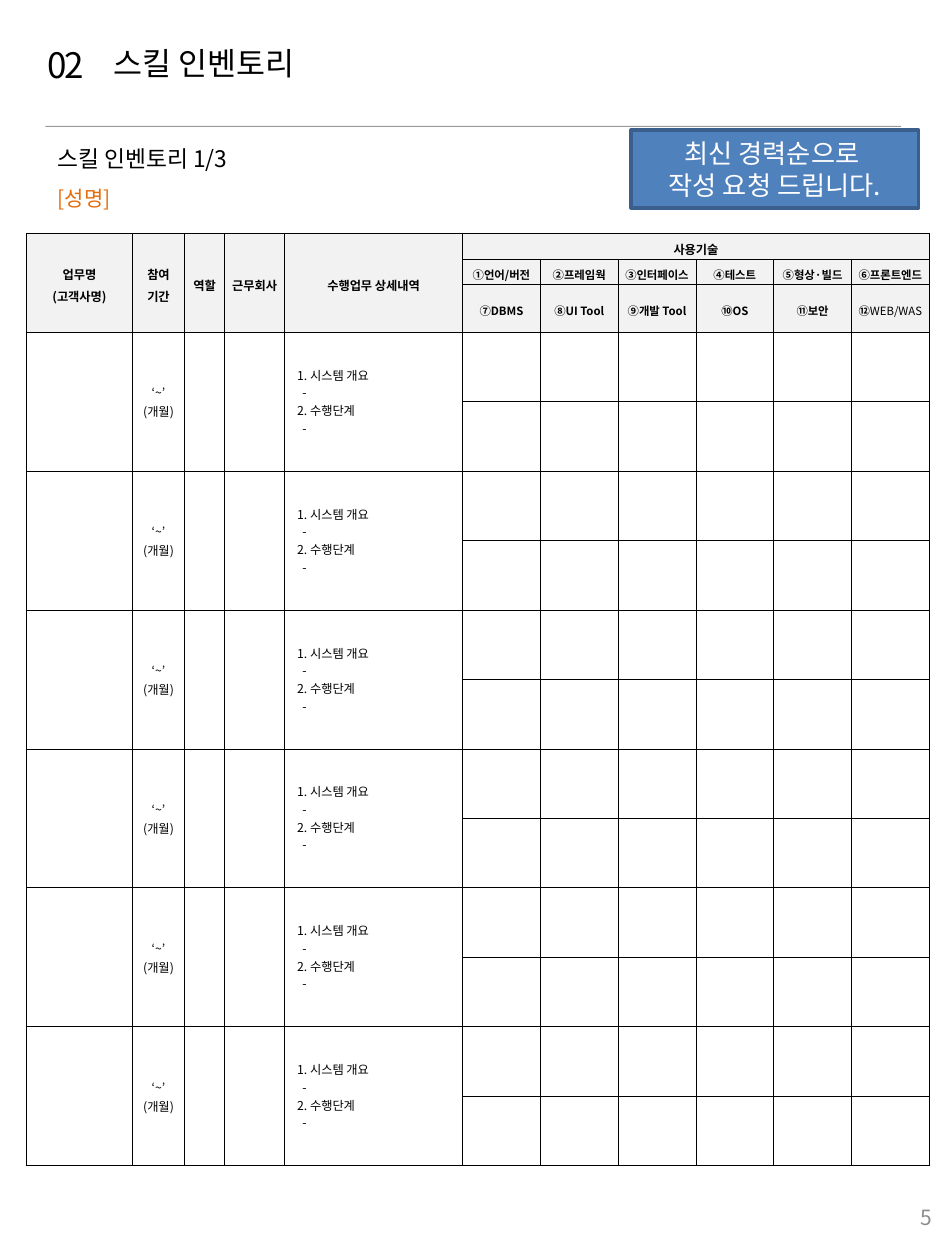
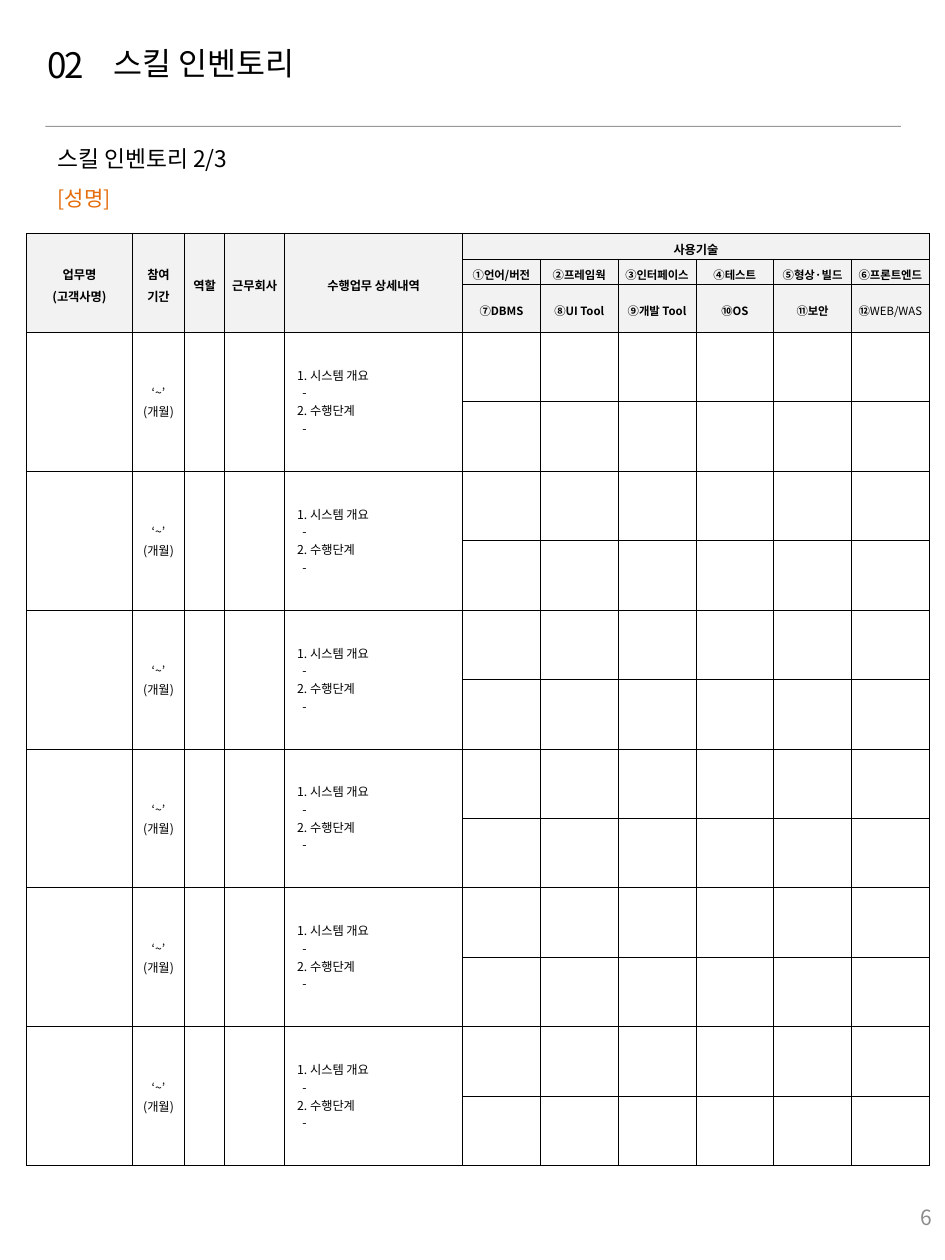
import pptx
import pptx.dml.color
import pptx.enum.shapes
import pptx.enum.text
import pptx.oxml.ns
import pptx.util
from lxml import etree

Pt = pptx.util.Pt
color = pptx.dml.color.RGBColor.from_string
qn = pptx.oxml.ns.qn
ALIGN = pptx.enum.text.PP_ALIGN
MIDDLE = pptx.enum.text.MSO_ANCHOR.MIDDLE
RECTANGLE = pptx.enum.shapes.MSO_SHAPE.RECTANGLE

FONT = "Noto Sans CJK KR"
BLACK, WHITE, ORANGE = "000000", "FFFFFF", "E46C0A"
RULE_GREY, NUMBER_GREY, HEADER_GREY = "808080", "8C8C8C", "F2F2F2"
CALLOUT_BLUE, CALLOUT_EDGE = "4F81BD", "3A5F8C"


def add_run(paragraph, text, size, hue=BLACK, bold=False):
    run = paragraph.add_run()
    run.text = text
    run.font.size = Pt(size)
    run.font.bold = bold
    run.font.name = FONT
    run.font.color.rgb = color(hue)
    etree.SubElement(run.font._element, qn("a:ea"), typeface=FONT)
    return run


def write_lines(frame, lines, size, hue=BLACK, bold=False, align=ALIGN.LEFT, spacing=None):
    """Write one paragraph per line; a newline inside a line is a soft break."""
    frame.word_wrap = True
    for number, line in enumerate(lines):
        paragraph = frame.add_paragraph() if number else frame.paragraphs[0]
        paragraph.alignment = align
        paragraph.line_spacing = spacing
        for part_number, part in enumerate(line.split("\n")):
            if part_number:
                paragraph.add_line_break()
            add_run(paragraph, part, size, hue, bold)


# Table content and grid
main_headers = [["업무명", "(고객사명)"], ["참여\n기간"], ["역할"], ["근무회사"], ["수행업무 상세내역"]]
skill_headers = [
    ["①언어/버전", "②프레임웍", "③인터페이스", "④테스트", "⑤형상·빌드", "⑥프론트엔드"],
    ["⑦DBMS", "⑧UI Tool", "⑨개발 Tool", "⑩OS", "⑪보안", "⑫"],
]
period_lines = ["‘~’", "(개월)"]
detail_lines = ["1. 시스템 개요", "-", "2. 수행단계", "-"]
PROJECTS = 6
HEADER_ROWS = 3
PERIOD, DETAIL, FIRST_SKILL = 1, 4, 5
column_widths = [60.6, 29.8, 22.9, 34.3, 101.7] + [44.45] * 6
row_heights = [14.9, 14.3, 27.4] + [39.7] * (2 * PROJECTS)

deck = pptx.Presentation()
deck.slide_width, deck.slide_height = Pt(540), Pt(720)

for page, part_label in [(5, "1/3"), (6, "2/3")]:
    slide = deck.slides.add_slide(deck.slide_layouts[6])

    # Rule below the title
    rule = slide.shapes.add_shape(RECTANGLE, Pt(25.9), Pt(72), Pt(488.9), Pt(0.5))
    rule.shadow.inherit = False
    rule.line.fill.background()
    rule.fill.solid()
    rule.fill.fore_color.rgb = color(RULE_GREY)
    rule_color = rule._element.spPr.find(qn("a:solidFill"))[0]
    etree.SubElement(rule_color, qn("a:alpha"), val="80000")

    # Chapter number, title, subtitle, name and page number
    for left, top, width, height, text, size, hue, align, spacing in [
        (20.2, 21.6, 54.7, 31, "02", 20, BLACK, ALIGN.LEFT, None),
        (57.6, 24.5, 171.4, 25.2, "스킬 인벤토리", 18, BLACK, ALIGN.LEFT, 0.9),
        (25.9, 77.8, 488.9, 25.2, f"스킬 인벤토리 {part_label}", 13, BLACK, ALIGN.LEFT, None),
        (25.9, 100.8, 488.9, 25.2, "[성명]", 12, ORANGE, ALIGN.LEFT, None),
        (502.6, 685.4, 37.4, 20.2, str(page), 12, NUMBER_GREY, ALIGN.RIGHT, None),
    ]:
        label = slide.shapes.add_textbox(Pt(left), Pt(top), Pt(width), Pt(height)).text_frame
        write_lines(label, [text], size, hue, align=align, spacing=spacing)
        label.vertical_anchor = MIDDLE
        if text == "02":
            label.paragraphs[0].runs[0].font._element.set("spc", "-130")

    # Skill inventory table
    inventory = slide.shapes.add_table(
        len(row_heights), len(column_widths), Pt(15.1), Pt(133.2),
        Pt(sum(column_widths)), Pt(sum(row_heights))).table
    inventory.first_row = inventory.horz_banding = False
    for column, width in zip(inventory.columns, column_widths):
        column.width = Pt(width)
    for row, height in zip(inventory.rows, row_heights):
        row.height = Pt(height)

    # Borders, fills and margins
    for row_number, row in enumerate(inventory.rows):
        for column_number, cell in enumerate(row.cells):
            cell.vertical_anchor = MIDDLE
            properties = cell._tc.get_or_add_tcPr()
            for side in ("a:lnL", "a:lnR", "a:lnT", "a:lnB"):
                border = etree.SubElement(properties, qn(side), w=str(Pt(0.28)))
                border_fill = etree.SubElement(border, qn("a:solidFill"))
                etree.SubElement(border_fill, qn("a:srgbClr"), val=BLACK)
            if row_number < HEADER_ROWS:
                cell.fill.solid()
                cell.fill.fore_color.rgb = color(HEADER_GREY)
                tight = row_number > 0 and column_number in (6, 7) or (row_number, column_number) == (2, 5)
                cell.margin_left = cell.margin_right = Pt(0 if tight else 2.9)
                cell.margin_top = cell.margin_bottom = Pt(0 if tight else 0.7)
            else:
                cell.fill.background()
                if column_number == PERIOD:
                    cell.margin_left = cell.margin_right = cell.margin_top = cell.margin_bottom = 0

    # Header texts
    for column_number, lines in enumerate(main_headers):
        header = inventory.cell(0, column_number)
        header.merge(inventory.cell(HEADER_ROWS - 1, column_number))
        write_lines(header.text_frame, lines, 7, bold=True, align=ALIGN.CENTER, spacing=1.3)
    skills = inventory.cell(0, FIRST_SKILL)
    skills.merge(inventory.cell(0, len(column_widths) - 1))
    write_lines(skills.text_frame, ["사용기술"], 7, bold=True, align=ALIGN.CENTER, spacing=1.3)
    for row_number, names in enumerate(skill_headers, 1):
        for column_number, name in enumerate(names, FIRST_SKILL):
            skill = inventory.cell(row_number, column_number).text_frame
            write_lines(skill, [name], 6.5, bold=True, align=ALIGN.CENTER, spacing=1.3)
    add_run(skill.paragraphs[0], "WEB/WAS", 6.5)

    # Two rows per project
    for top_row in range(HEADER_ROWS, len(row_heights), 2):
        for column_number in range(FIRST_SKILL):
            inventory.cell(top_row, column_number).merge(inventory.cell(top_row + 1, column_number))
        period = inventory.cell(top_row, PERIOD).text_frame
        write_lines(period, period_lines, 7, align=ALIGN.CENTER, spacing=1.07)
        detail = inventory.cell(top_row, DETAIL).text_frame
        write_lines(detail, detail_lines, 7)
        for dash in detail.paragraphs[1::2]:
            dash._p.get_or_add_pPr().set("marL", str(Pt(3)))

    # Request callout on the first page only
    if page == 5:
        callout = slide.shapes.add_shape(RECTANGLE, Pt(360.7), Pt(74.2), Pt(164.2), Pt(44.6))
        callout.shadow.inherit = False
        callout.fill.solid()
        callout.fill.fore_color.rgb = color(CALLOUT_BLUE)
        callout.line.color.rgb = color(CALLOUT_EDGE)
        callout.line.width = Pt(2)
        callout.text_frame.vertical_anchor = MIDDLE
        write_lines(callout.text_frame, ["최신 경력순으로 ", "작성 요청 드립니다."], 15, WHITE,
                    align=ALIGN.CENTER)

deck.save("out.pptx")
